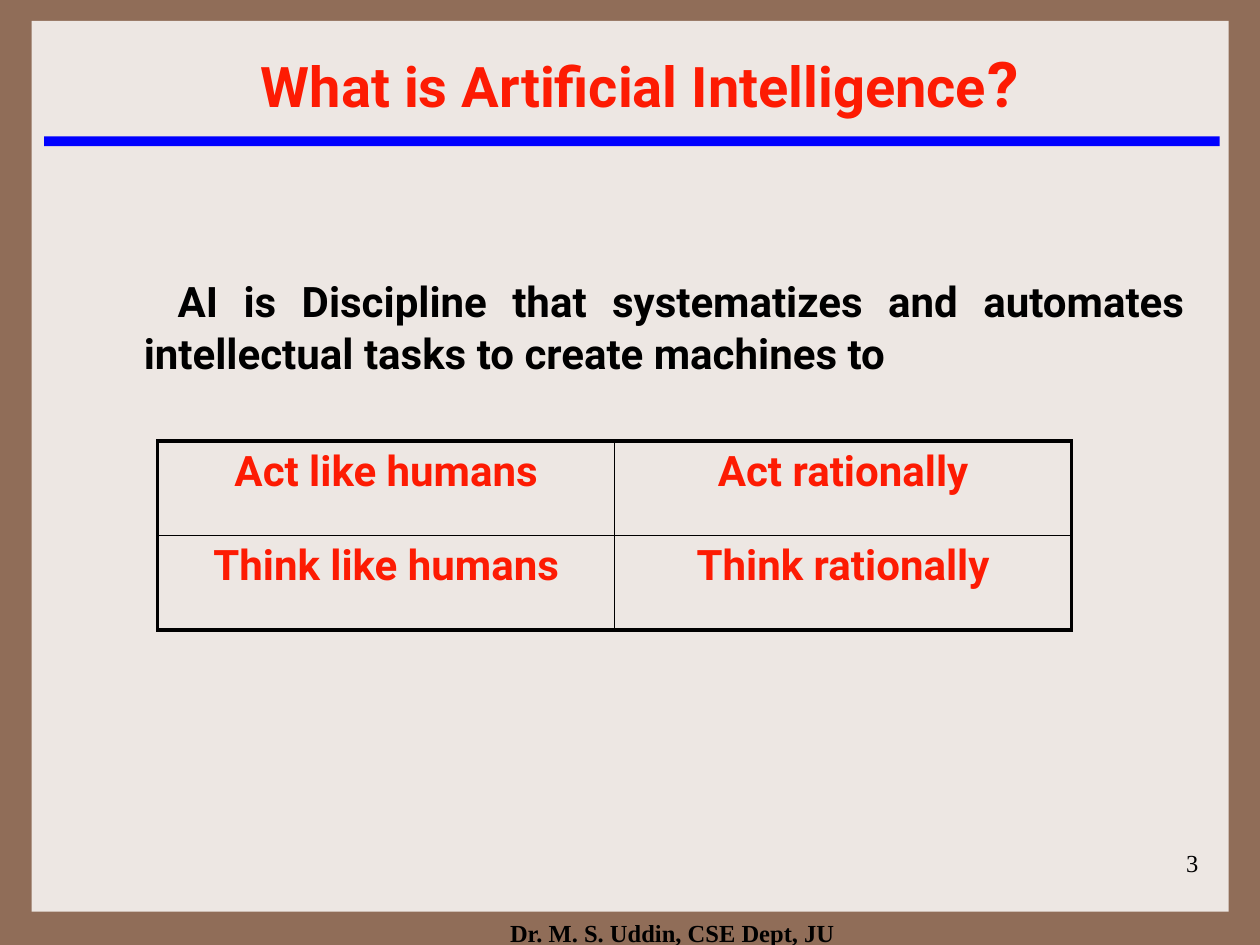
import pptx
import pptx.dml.color
import pptx.enum.shapes
import pptx.enum.text
import pptx.oxml
import pptx.oxml.ns
import pptx.util

Cm = pptx.util.Cm
Pt = pptx.util.Pt
RGBColor = pptx.dml.color.RGBColor
ALIGN = pptx.enum.text.PP_ALIGN
ANCHOR = pptx.enum.text.MSO_ANCHOR

BROWN = RGBColor(0x90, 0x6D, 0x58)
CREAM = RGBColor(0xED, 0xE7, 0xE3)
BLUE = RGBColor(0x00, 0x00, 0xFF)
RED = RGBColor(0xFD, 0x1B, 0x03)
BLACK = RGBColor(0x00, 0x00, 0x00)
SANS = "Roboto"
SERIF = "Times New Roman"
THICK, THIN = 2.25, 1


class Deck:
    def __init__(self):
        self.show = pptx.Presentation()
        self.show.slide_width = Cm(25.4)
        self.show.slide_height = Cm(19.05)
        self.slide = self.show.slides.add_slide(self.show.slide_layouts[6])
        self.slide.background.fill.solid()
        self.slide.background.fill.fore_color.rgb = BROWN

    def style(self, para, name, size, color, bold, align):
        para.alignment = align
        font = para.font
        font.name, font.size, font.bold = name, Pt(size), bold
        font.color.rgb = color

    def panel(self, box, color):
        kind = pptx.enum.shapes.MSO_SHAPE.RECTANGLE
        shape = self.slide.shapes.add_shape(kind, *map(Cm, box))
        shape.shadow.inherit = False
        shape.fill.solid()
        shape.fill.fore_color.rgb = color
        shape.line.fill.background()

    def text(self, box, words, name, size, color=BLACK, bold=True,
             align=ALIGN.CENTER, anchor=ANCHOR.TOP):
        frame = self.slide.shapes.add_textbox(*map(Cm, box)).text_frame
        frame.word_wrap = True
        frame.vertical_anchor = anchor
        para = frame.paragraphs[0]
        para.text = words
        self.style(para, name, size, color, bold, align)
        return para

    def border(self, cell, side, width):
        space = pptx.oxml.ns.nsdecls("a")
        line = pptx.oxml.parse_xml(
            f'<a:ln{side} {space} w="{Pt(width)}"><a:solidFill>'
            f'<a:srgbClr val="{BLACK}"/></a:solidFill></a:ln{side}>')
        cell._tc.get_or_add_tcPr().append(line)

    def table(self, box, rows):
        """Draw a grid with a thick frame and thin inner lines."""
        high, wide = len(rows), len(rows[0])
        table = self.slide.shapes.add_table(high, wide, *map(Cm, box)).table
        table.first_row = table.horz_banding = False
        for r, row in enumerate(rows):
            for c, words in enumerate(row):
                cell = table.cell(r, c)
                outer = {"L": c == 0, "R": c == wide - 1,
                         "T": r == 0, "B": r == high - 1}
                for side, edge in outer.items():
                    self.border(cell, side, THICK if edge else THIN)
                cell.fill.background()
                cell.text = words
                self.style(cell.text_frame.paragraphs[0], SANS, 24, RED,
                           True, ALIGN.CENTER)


def main():
    deck = Deck()
    deck.panel((0.64, 0.42, 24.13, 17.96), CREAM)
    deck.panel((0.89, 2.75, 23.7, 0.2), BLUE)
    deck.text((9.53, 18.39, 8.05, 0.66), "Dr. M. S. Uddin, CSE Dept, JU",
              SERIF, 14)
    deck.text((19.13, 16.97, 5.28, 1.27), "3", SERIF, 14, bold=False,
              align=ALIGN.RIGHT)

    title = deck.text((0.1, 1.07, 25.6, 1.47), "What is Artificial Intelligence",
                      SANS, 32, RED, anchor=ANCHOR.BOTTOM)
    mark = title.add_run()
    mark.text = "?"
    mark.font.size = Pt(36)

    body = deck.text((2.65, 5.4, 21.48, 2.97),
                     "AI is Discipline that systematizes and automates "
                     "intellectual tasks to create machines to",
                     SANS, 24, align=ALIGN.JUSTIFY)
    body.line_spacing = Pt(29.7)
    body._p.get_or_add_pPr().set("indent", str(Cm(0.68)))

    deck.table((3.18, 8.89, 18.42, 3.81),
               [("Act like humans", "Act rationally"),
                ("Think like humans", "Think rationally")])
    deck.show.save("out.pptx")


if __name__ == "__main__":
    main()
